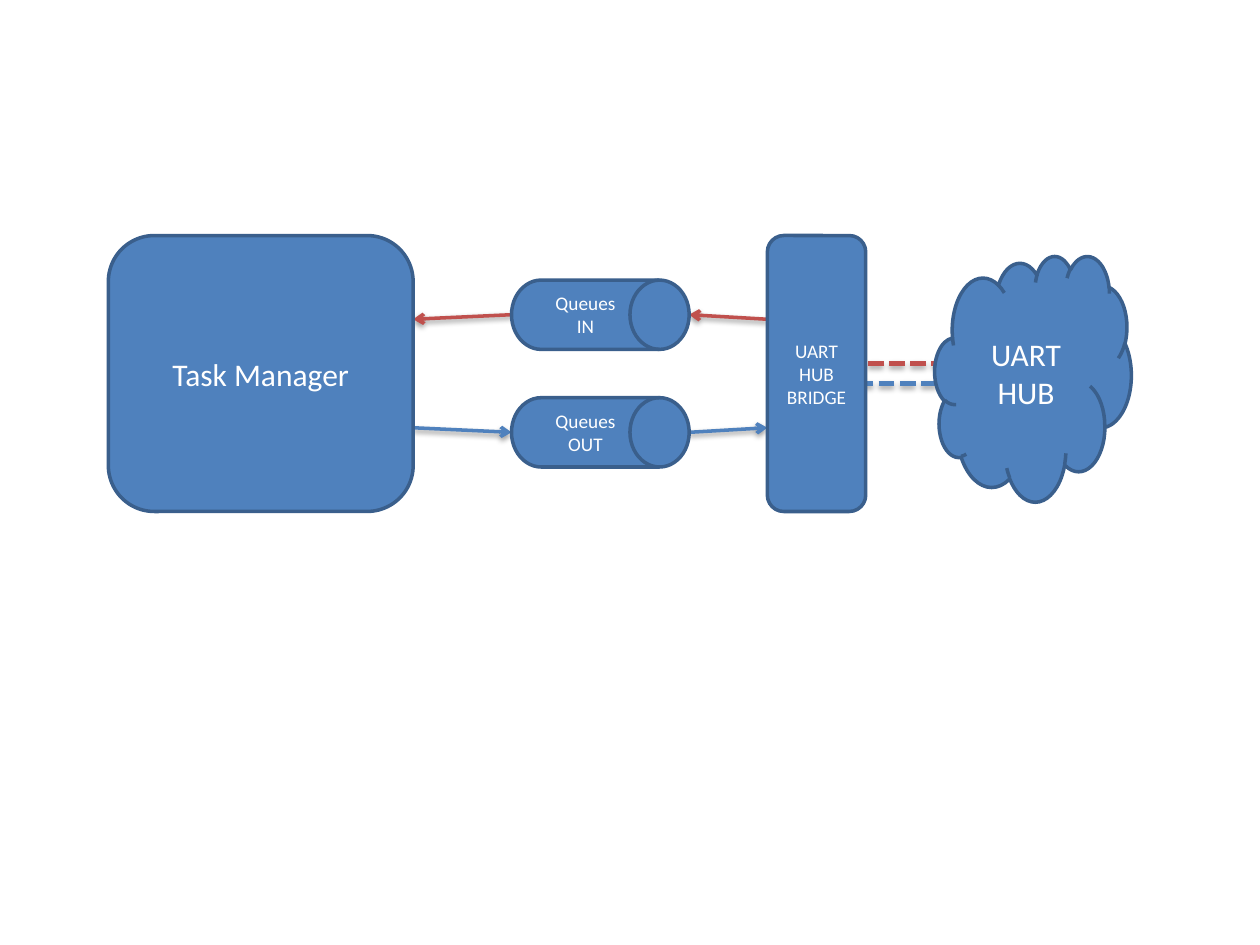
import pptx
import pptx.util
import pptx.dml.color
import pptx.enum.dml
import pptx.enum.shapes
import pptx.enum.text
import pptx.oxml

Pt = pptx.util.Pt
RGB = pptx.dml.color.RGBColor
Kind = pptx.enum.shapes.MSO_SHAPE
BLUE = RGB(0x4F, 0x81, 0xBD)
EDGE = RGB(0x3A, 0x5F, 0x8C)
RED = RGB(0xC0, 0x50, 0x4D)
WHITE = RGB(0xFF, 0xFF, 0xFF)
SPACE = 'xmlns:a="http://schemas.openxmlformats.org/drawingml/2006/main"'


def add_node(slide, kind, box, text, size):
    """Add a filled shape with centred white text."""
    node = slide.shapes.add_shape(kind, *map(Pt, box))
    node.shadow.inherit = False
    node.fill.solid()
    node.fill.fore_color.rgb = BLUE
    node.line.color.rgb = EDGE
    node.line.width = Pt(2)
    frame = node.text_frame
    frame.word_wrap = True
    frame.vertical_anchor = pptx.enum.text.MSO_ANCHOR.MIDDLE
    par = frame.paragraphs[0]
    par.text = text
    par.alignment = pptx.enum.text.PP_ALIGN.CENTER
    par.font.name = "Calibri"
    par.font.size = Pt(size)
    par.font.color.rgb = WHITE


def add_link(slide, ends, color, dashed=False):
    """Add a shadowed line, either dashed or with an arrowhead."""
    link = slide.shapes.add_connector(
        pptx.enum.shapes.MSO_CONNECTOR.STRAIGHT, *map(Pt, ends))
    link.line.color.rgb = color
    link.line.width = Pt(3 if dashed else 2)
    if dashed:
        link.line.dash_style = pptx.enum.dml.MSO_LINE.SQUARE_DOT
        link.line.dash_style = pptx.enum.dml.MSO_LINE.DASH
        dash = link.line.dash_style
        link.line.dash_style = dash
        link.line.dash_style = pptx.enum.dml.MSO_LINE.SQUARE_DOT
    else:
        link.line._get_or_add_ln().append(
            pptx.oxml.parse_xml(f'<a:tailEnd {SPACE} type="arrow"/>'))
    dist, alpha = (Pt(1.8), 35000) if dashed else (Pt(1.6), 38000)
    link._element.spPr.append(pptx.oxml.parse_xml(
        f'<a:effectLst {SPACE}><a:outerShdw blurRad="{Pt(3.1)}" dist="{dist}" '
        'dir="5400000" rotWithShape="0"><a:srgbClr val="000000">'
        f'<a:alpha val="{alpha}"/></a:srgbClr></a:outerShdw></a:effectLst>'))


def add_flow(slide, left, top, high):
    """Draw the task manager, queues, bridge and hub from a corner."""
    task, drum, bridge, cloud = 174.2, 230.4, 376.6, 472.3
    wide, tall = 101.5, 39.6
    mid = high / 2
    exit = drum + wide
    rows = (("Queues IN", -1, RED), ("Queues OUT", 1, BLUE))
    for _, side, color in rows:
        near, far = mid + side * 31, mid + side * 33.6
        pairs = [(task, near, drum, far), (exit, far, bridge, near)]
        if side < 0:
            pairs = [(c, d, a, b) for a, b, c, d in pairs]
        for a, b, c, d in pairs:
            add_link(slide, (left + a, top + b, left + c, top + d), color)
    for start, end, side, color in ((422, 489.6, -1, RED), (416.2, 494.6, 1, BLUE)):
        y = top + mid + side * 5.7
        add_link(slide, (left + start, y, left + end, y), color, True)
    for text, side, _ in rows:
        y = top + mid + side * 33.6 - tall / 2
        add_node(slide, Kind.FLOWCHART_DIRECT_ACCESS_STORAGE,
                 (left + drum, y, wide, tall), text, 11)
    add_node(slide, Kind.ROUNDED_RECTANGLE,
             (left + bridge, top, 56.2, high), "UART HUB BRIDGE", 11)
    add_node(slide, Kind.CLOUD,
             (left + cloud, top + 11.5, 112.3, 140.4), "UART HUB", 18)
    add_node(slide, Kind.ROUNDED_RECTANGLE,
             (left, top, task, high), "Task Manager", 18)


def main():
    """Build and save the slide."""
    deck = pptx.Presentation()
    deck.slide_width, deck.slide_height = Pt(720), Pt(540)
    slide = deck.slides.add_slide(deck.slide_layouts[6])
    add_flow(slide, 61.9, 134.6, 157.7)
    deck.save("out.pptx")


main()
